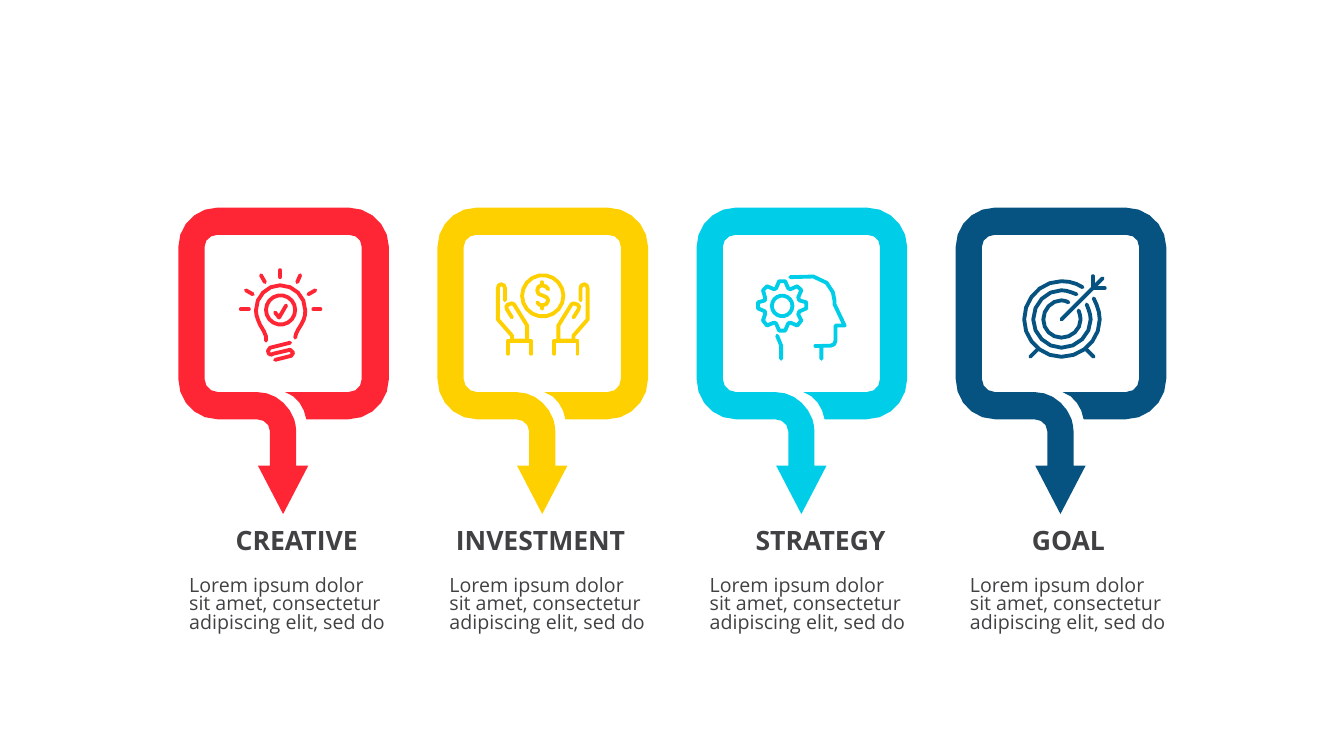
from dataclasses import dataclass

from lxml.etree import SubElement
from math import cos, dist, pi, sin, sqrt
from pptx import Presentation
from pptx.dml.color import RGBColor
from pptx.enum.text import PP_ALIGN
from pptx.oxml.ns import qn
from pptx.util import Inches, Pt

# Grid: 1334 columns by 750 rows, one unit each way
UNIT = Inches(0.01)
COLUMNS, ROWS = 1334, 750
FRAME_LEFT, FRAME_TOP, FRAME_PITCH = 177, 206, 257.2
BODY_LEFT, BODY_TOP, BODY_PITCH = 178, 568, 258.3
HEADING_TOP = 518
FONT, TEXT_COLOUR = "Open Sans", "414042"
BODY = "Lorem ipsum dolor sit amet, consectetur adipiscing elit, sed do"

Point = tuple[float, float]


@dataclass
class Contour:
    points: list[Point]
    closed: bool = False


@dataclass
class Step:
    heading: str
    heading_left: float
    colour: str
    icon: str
    mirrored: str = ""  # part of the icon drawn on both sides


# Outlines in grid units from the frame's corner:
# M move, L line, C curve, O circle (centre and radius), Z close
FRAME = """M 169 0 L 39 0 C 17 0 0 18 0 39 L 0 170 C 0 192 17 210 39 210
L 78 210 C 85 210 91 215 91 222 L 91 256 L 79 256 L 104 304 L 129 256
L 117 256 L 117 222 C 117 218 116 214 115 210 C 109 194 95 183 78 183
L 39 183 C 32 183 26 177 26 170 L 26 39 C 26 32 32 27 39 27
L 169 27 C 177 27 182 32 182 39 L 182 170 C 182 177 177 183 169 183
L 106 183 C 118 187 125 198 127 210 L 169 210 C 191 210 209 192 209 170
L 209 39 C 209 18 191 0 169 0 Z"""
BULB = """M 87 132 C 88 128 86 124 81 116 C 79 111 77 107 77 102
C 77 88 88 77 101 77 C 115 77 126 88 126 102 C 126 107 125 111 122 116
C 118 122 116 126 116 129 O 101.5 101.5 14.5 M 96 104 L 100 109 L 107 97
M 101 69 L 101 62 M 86 74 L 82 67 M 67 82 L 74 86 M 62 101 L 70 101
M 121 67 L 118 74 M 136 82 L 129 86 M 134 101 L 141 101
M 111 134 L 91 139 C 90 140 89 141 89 142 C 89 144 90 146 92 146
L 94 145 L 111 141 C 113 141 114 142 114 144
C 114 145 114 146 112 147 L 96 151"""
COIN = """O 104.5 87.5 20.5 M 99 94 C 100 96 102 97 104 97
C 107 97 110 95 110 92 C 110 90 108 88 104 87 C 101 87 99 85 99 82
C 99 79 101 77 104 77 C 107 77 109 79 110 81
M 104 77 L 104 74 M 104 100 L 104 97"""
HAND = """M 74 109 L 69 101 C 68 99 68 97 70 96 L 71 96
C 73 94 75 95 76 96 L 89 117 L 89 132 L 74 132 L 74 127 L 60 111 L 60 80
C 60 78 61 76 63 76 C 66 76 67 78 67 80 L 67 92
M 93 145 L 93 132 L 70 132 L 70 145"""
HEAD = """M 93 69 C 141 60 137 96 137 96 L 147 117 L 138 117 L 138 132
C 138 135 136 137 133 137 L 124 137 L 124 150
M 84 150 L 84 137 L 80 127 M 109 100 L 109 94 L 102 92 L 101 89
L 104 82 L 100 78 L 93 81 L 91 80 L 88 73 L 82 73 L 79 80 L 77 81
L 70 78 L 66 82 L 68 89 L 68 92 L 61 94 L 61 100 L 68 103 L 68 106
L 66 112 L 70 117 L 77 114 L 79 115 L 82 122 L 88 122 L 91 115 L 93 114
L 100 117 L 104 112 L 101 106 L 102 103 Z
O 85 97.5 10.2 M 124 137 L 118 137"""
TARGET = """M 137 90 C 140 96 143 103 143 111 C 143 131 126 148 105 148
C 85 148 68 131 68 111 C 68 90 85 73 105 73 C 113 73 120 75 126 79
M 120 86 C 115 84 110 82 105 82 C 90 82 77 95 77 111
C 77 126 90 139 105 139 C 121 139 134 126 134 111 C 134 106 132 101 130 96
M 112 94 C 110 93 108 92 105 92 C 95 92 87 101 87 111
C 87 121 95 129 105 129 C 115 129 124 121 124 111 C 124 108 123 105 122 102
M 105 111 L 146 70 M 136 68 L 136 80 L 148 80
M 74 148 L 82 140 M 129 140 L 137 148"""

STEPS = [
    Step("CREATIVE", 200, "FE2635", BULB),
    Step("INVESTMENT", 442, "FFD000", COIN, HAND),
    Step("STRATEGY", 720, "00CEE8", HEAD),
    Step("GOAL", 966, "065381", TARGET),
]


def rgb(colour: str) -> RGBColor:
    return RGBColor.from_string(colour)


def units(value: float) -> int:
    return round(value * UNIT)


def bezier(a: Point, b: Point, c: Point, d: Point) -> list[Point]:
    def at(t: float, axis: int) -> float:
        u = 1 - t
        return (u**3 * a[axis] + 3 * u * u * t * b[axis]
                + 3 * u * t * t * c[axis] + t**3 * d[axis])
    parts = max(1, round(0.7 * sqrt(dist(a, d))))  # longer curves get more parts
    return [(at(i / parts, 0), at(i / parts, 1)) for i in range(1, parts + 1)]


def circle(x: float, y: float, radius: float, parts: int = 18) -> list[Point]:
    angles = [2 * pi * i / parts for i in range(parts)]
    return [(x + radius * cos(a), y + radius * sin(a)) for a in angles]


def trace(outline: str) -> list[Contour]:
    contours: list[Contour] = []
    tokens = iter(outline.split())
    counts = {"M": 2, "L": 2, "C": 6, "O": 3, "Z": 0}
    for command in tokens:
        n = [float(next(tokens)) for _ in range(counts[command])]
        if command == "M":
            contours.append(Contour([(n[0], n[1])]))
        elif command == "O":
            contours.append(Contour(circle(*n), True))
        elif command == "L":
            contours[-1].points.append((n[0], n[1]))
        elif command == "C":
            points = contours[-1].points
            points += bezier(points[-1], (n[0], n[1]), (n[2], n[3]), (n[4], n[5]))
        else:
            contours[-1].closed = True
    return contours


def mirror(contours: list[Contour], width: float = 209) -> list[Contour]:
    return [Contour([(width - x, y) for x, y in c.points], c.closed) for c in contours]


def add_outline(s, contours: list[Contour], left: float, top: float):
    placed = [([(units(left + x), units(top + y)) for x, y in c.points], c.closed)
              for c in contours]
    builder = s.shapes.build_freeform(*placed[0][0][0])
    for i, (points, closed) in enumerate(placed):
        if i:
            builder.move_to(*points[0])
        builder.add_line_segments(points[1:], close=closed)
    sp = builder.convert_to_shape()
    sp.shadow.inherit = False
    return sp


def add_frame(s, left: float, colour: str) -> None:
    sp = add_outline(s, trace(FRAME), left, FRAME_TOP)
    sp.fill.solid()
    sp.fill.fore_color.rgb = rgb(colour)
    sp.line.fill.background()


def add_icon(s, left: float, step: Step) -> None:
    side = trace(step.mirrored)
    sp = add_outline(s, trace(step.icon) + side + mirror(side), left, FRAME_TOP)
    sp.fill.background()
    sp.line.color.rgb = rgb(step.colour)
    sp.line.width = Pt(2.75)
    ln = sp.line.fill._xPr
    ln.set("cap", "rnd")
    SubElement(ln, qn("a:round"))


def add_text(s, text: str, left: float, top: float, width: float, height: float, *,
             size: float, spacing: float, bold: bool = False,
             align: PP_ALIGN = PP_ALIGN.LEFT) -> None:
    tf = s.shapes.add_textbox(*map(units, (left, top, width, height))).text_frame
    tf.word_wrap = True
    p = tf.paragraphs[0]
    p.alignment, p.line_spacing = align, spacing
    r = p.add_run()
    r.text = text
    r.font.name, r.font.size, r.font.bold = FONT, Pt(size), bold
    r.font.color.rgb = rgb(TEXT_COLOUR)


def main() -> None:
    prs = Presentation()
    prs.slide_width, prs.slide_height = units(COLUMNS), units(ROWS)
    s = prs.slides.add_slide(prs.slide_layouts[6])
    for i, step in enumerate(STEPS):
        # Frame with arrow, and its icon
        left = FRAME_LEFT + i * FRAME_PITCH
        add_frame(s, left, step.colour)
        add_icon(s, left, step)
        # Heading and description
        add_text(s, step.heading, step.heading_left, HEADING_TOP, 189, 41,
                 size=19, spacing=0.9, bold=True, align=PP_ALIGN.CENTER)
        add_text(s, BODY, BODY_LEFT + i * BODY_PITCH, BODY_TOP, 214, 112,
                 size=14, spacing=0.79)
    prs.save("out.pptx")


if __name__ == "__main__":
    main()
